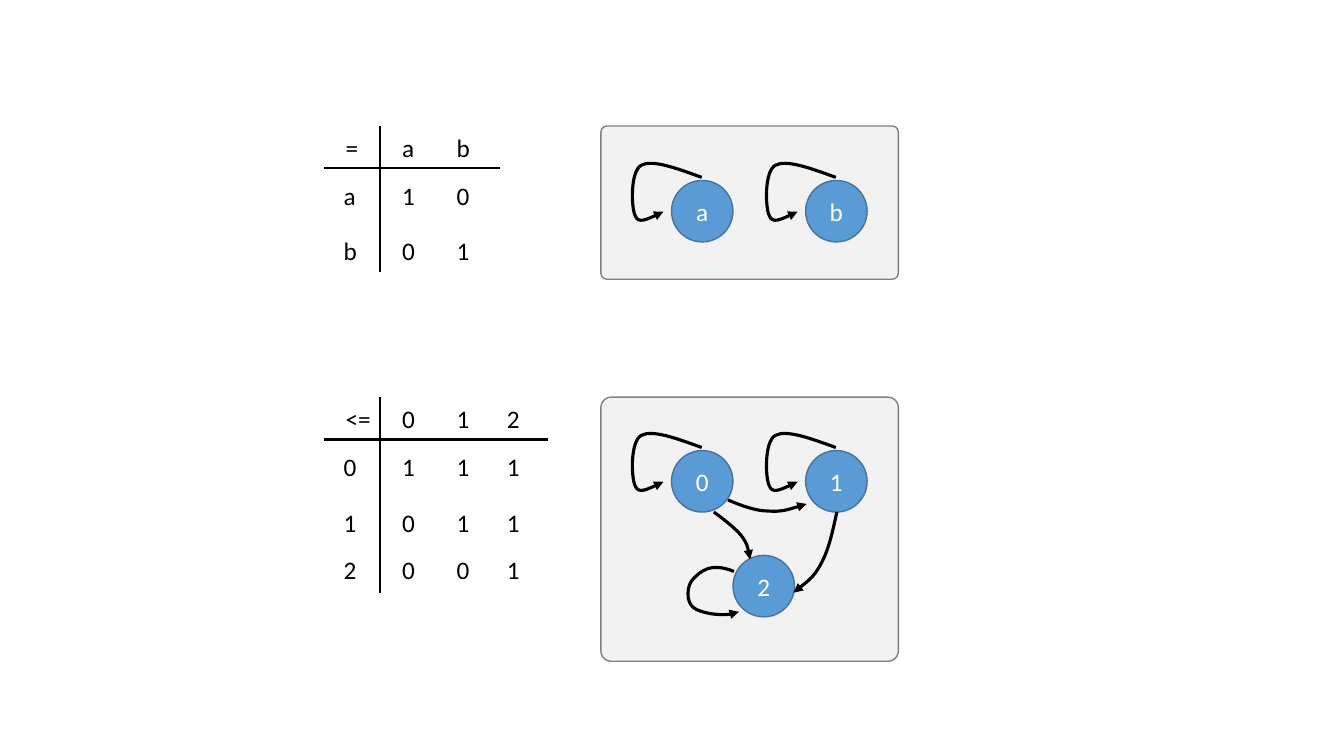
"""Draw the tables and graphs of two relations: equality and ordering."""
from lxml.etree import SubElement
from pptx import Presentation
from pptx.dml.color import RGBColor
from pptx.enum.shapes import MSO_CONNECTOR, MSO_SHAPE
from pptx.enum.text import MSO_ANCHOR, MSO_AUTO_SIZE, PP_ALIGN
from pptx.oxml.ns import qn
from pptx.util import Inches, Pt

FONT = {"name": "Calibri", "size": Pt(18)}
BOX = {"word_wrap": False, "auto_size": MSO_AUTO_SIZE.SHAPE_TO_FIT_TEXT}
NODE = {"vertical_anchor": MSO_ANCHOR.MIDDLE}
COLS = (3.31, 3.89, 4.43, 4.93)
ROWS = (0.01, 0.49, 1.04, 1.51)
SIZE = 0.61
LOOP = ((0.3, -0.03), (0.05, -0.12), (-0.19, -0.21), (-0.3, -0.15),
        (-0.41, -0.09), (-0.4, 0.27), (-0.36, 0.35),
        (-0.33, 0.43), (-0.2, 0.37), (-0.08, 0.31))
EDGES = (
    ((7.22, 4.96), (7.36, 5.02), (7.5, 5.07), (7.62, 5.07),
     (7.75, 5.08), (7.87, 5.04), (8, 5)),
    ((7.08, 5.08), (7.19, 5.16), (7.29, 5.24), (7.35, 5.31),
     (7.41, 5.39), (7.43, 5.47), (7.44, 5.55)),
    ((8.3, 5.08), (8.26, 5.27), (8.22, 5.45), (8.15, 5.58),
     (8.08, 5.72), (7.97, 5.8), (7.87, 5.88)),
    ((7.28, 5.67), (7.04, 5.57), (6.94, 5.68), (6.88, 5.74),
     (6.81, 5.8), (6.8, 5.97), (6.88, 6.03),
     (6.95, 6.08), (7.21, 6.13), (7.33, 6.07)),
)


def apply(item, style):
    """Set each value of a style on an item."""
    for key, value in style.items():
        setattr(item, key, value)


def tint(color, code):
    """Set a colour from a hex string."""
    color.rgb = RGBColor.from_string(code)


def stroke(line, code, width):
    """Set the colour and width of a line."""
    tint(line.color, code)
    line.width = Pt(width)


def write(frame, text, code, style):
    """Write a label into a text frame."""
    apply(frame, style)
    run = frame.paragraphs[0].add_run()
    run.text = text
    apply(run.font, FONT)
    tint(run.font.color, code)


def add_block(slide, kind, place, fill, edge):
    """Add a filled and outlined shape."""
    block = slide.shapes.add_shape(kind, *map(Inches, place))
    block.shadow.inherit = False
    block.fill.solid()
    tint(block.fill.fore_color, fill)
    stroke(block.line, edge, 1)
    return block


def add_panel(slide, top, height):
    """Add the grey panel behind a graph."""
    panel = add_block(slide, MSO_SHAPE.ROUNDED_RECTANGLE,
                      (5.96, top, 2.95, height), "F2F2F2", "808080")
    panel.adjustments[0] = 0.039


def add_node(slide, text, left, top):
    """Add a round node with its label."""
    node = add_block(slide, MSO_SHAPE.OVAL, (left, top, SIZE, SIZE),
                     "5B9BD5", "43739E")
    write(node.text_frame, text, "FFFFFF", NODE)
    node.text_frame.paragraphs[0].alignment = PP_ALIGN.CENTER


def add_curve(slide, points):
    """Add a curved arrow from a start and triples of Bezier points."""
    start, *rest = [(Inches(x), Inches(y)) for x, y in points]
    maker = slide.shapes.build_freeform(*start)
    maker.add_line_segments(rest, close=False)
    curve = maker.convert_to_shape()
    curve.shadow.inherit = False
    curve.fill.background()
    stroke(curve.line, "000000", 2.25)
    props = curve.element.spPr
    SubElement(props.find(qn("a:ln")), qn("a:tailEnd"), type="triangle")
    steps = list(props.iter(qn("a:lnTo")))
    for first in range(0, len(steps), 3):
        trio = steps[first:first + 3]
        bend = SubElement(trio[0].getparent(), qn("a:cubicBezTo"))
        for step in trio:
            bend.append(step[0])
            step.getparent().remove(step)


def add_rule(slide, start, end):
    """Add a straight table rule."""
    rule = slide.shapes.add_connector(MSO_CONNECTOR.STRAIGHT,
                                      *map(Inches, (*start, *end)))
    stroke(rule.line, "000000", 1.5)
    SubElement(rule.element.spPr, qn("a:effectLst"))


def add_grid(slide, top, right, bottom, rows):
    """Add a relation table: two rules and a grid of labels."""
    add_rule(slide, (3.77, top), (3.77, bottom))
    add_rule(slide, (3.21, top + 0.42), (right, top + 0.42))
    for drop, row in zip(ROWS, rows):
        for left, text in zip(COLS, row.split()):
            sign = "=" in text
            place = (left + 0.02 * sign, top + drop,
                     0.45 if len(text) > 1 else 0.33, 0.4)
            box = slide.shapes.add_textbox(*map(Inches, place))
            write(box.text_frame, text, "000000", BOX)


def add_pair(slide, names, top):
    """Add two nodes side by side, each with a loop."""
    for index, name in enumerate(names):
        left = 6.66 + 1.33 * index
        add_node(slide, name, left, top)
        add_curve(slide, [(left + x, top + y) for x, y in LOOP])


def main():
    """Build and save the slide."""
    deck = Presentation()
    apply(deck, {"slide_width": Inches(13.33), "slide_height": Inches(7.5)})
    slide = deck.slides.add_slide(deck.slide_layouts[6])
    add_panel(slide, 1.25, 1.52)
    add_grid(slide, 1.25, 4.96, 2.7, ("= a b", "a 1 0", "b 0 1"))
    add_pair(slide, "ab", 1.79)
    add_panel(slide, 3.94, 2.62)
    add_grid(slide, 3.94, 5.44, 5.88,
             ("<= 0 1 2", "0 1 1 1", "1 0 1 1", "2 0 0 1"))
    add_pair(slide, "01", 4.47)
    add_node(slide, "2", 7.27, 5.51)
    for edge in EDGES:
        add_curve(slide, edge)
    deck.save("out.pptx")


main()
